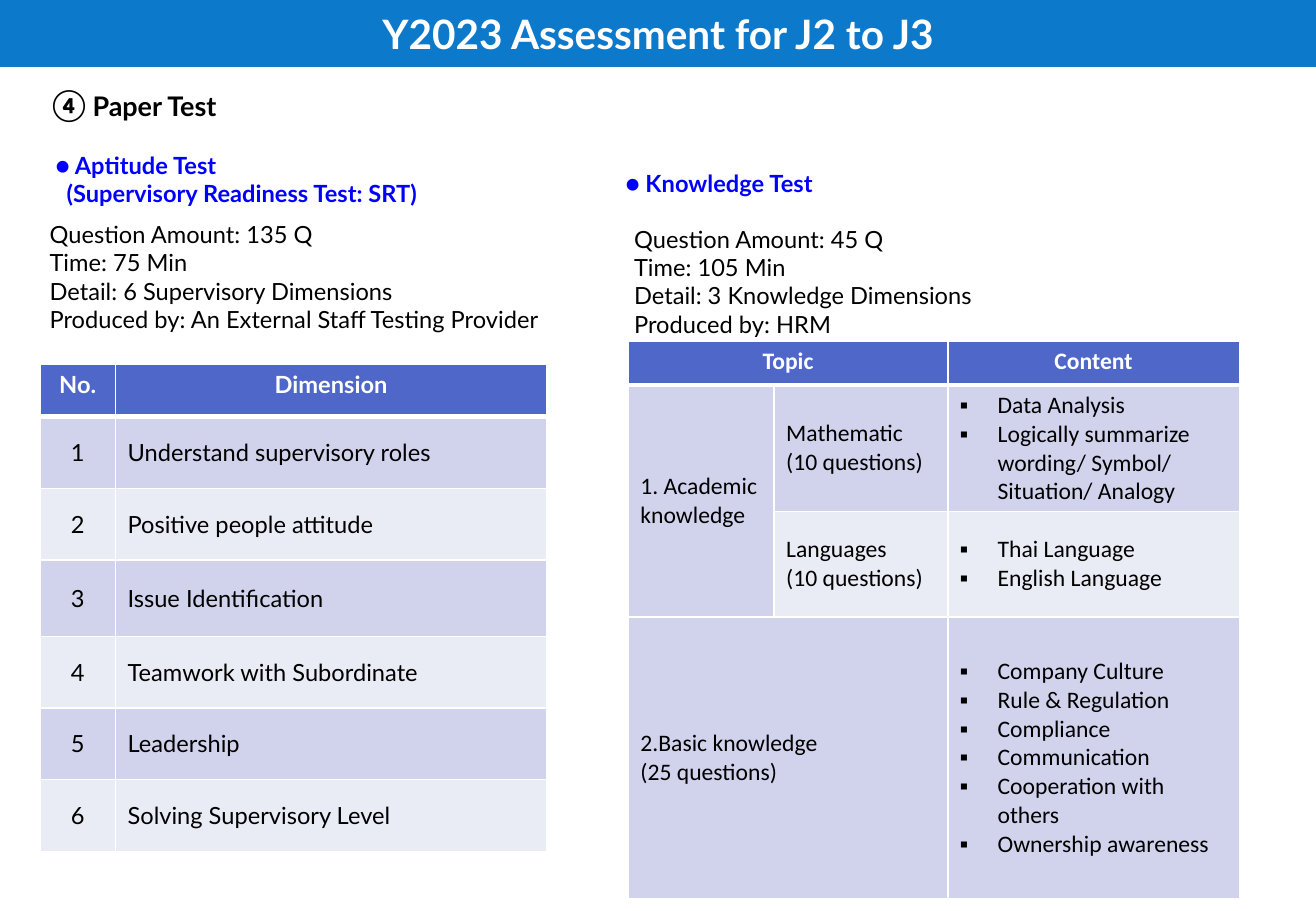
from lxml import etree
from pptx import Presentation
from pptx import util as u
from pptx.dml.color import RGBColor
from pptx.enum import text
from pptx.oxml import ns

PX = 9144  # EMU per px, 100 px to the inch
HUE = {"bar": "0D79CA", "head": "4E67C8", "dark": "D0D3EB", "pale": "E9EBF5",
       "blue": "0000FF", "black": "000000", "white": "FFFFFF"}
MID = text.MSO_ANCHOR.MIDDLE
LEFT, CENTER = text.PP_ALIGN.LEFT, text.PP_ALIGN.CENTER


def px(n):
    return u.Emu(n * PX)


def rgb(name):
    return RGBColor.from_string(HUE[name])


def style(para, size=14, hue="black", bold=False, face="Lato", align=LEFT):
    para.alignment = align
    font = para.font
    font.size, font.bold, font.name = u.Pt(size), bold, face
    font.color.rgb = rgb(hue)


def indent(para, left, first=0):
    prop = para._p.get_or_add_pPr()
    prop.set("marL", str(px(left)))
    prop.set("indent", str(px(first)))
    return prop


def write(frame, lines, bullet=False, **look):
    """Fill a text frame with one paragraph per line."""
    for i, line in enumerate(lines):
        para = frame.paragraphs[0] if i == 0 else frame.add_paragraph()
        para.text = line
        if bullet:
            prop = indent(para, 31, -31)
            etree.SubElement(prop, ns.qn("a:buFont")).set("typeface", "Calibri")
            etree.SubElement(prop, ns.qn("a:buChar")).set("char", "▪")
        style(para, **look)


def note(slide, box, lines, **look):
    frame = slide.shapes.add_textbox(*map(px, box)).text_frame
    frame.word_wrap = True
    write(frame, lines, **look)
    return frame.paragraphs


def edge(cell, row):
    """White cell borders, thicker below the header row."""
    prop = cell._tc.get_or_add_tcPr()
    for i, side in enumerate("LRTB"):
        thick = (row, side) in ((0, "B"), (1, "T"))
        line = etree.Element(ns.qn("a:ln" + side), w=str(u.Pt(3 if thick else 1)))
        fill = etree.SubElement(line, ns.qn("a:solidFill"))
        etree.SubElement(fill, ns.qn("a:srgbClr"), val=HUE["white"])
        prop.insert(i, line)


def grid(slide, box, cols, rows, cells, fills, face, merges=(), mid=(), dots=()):
    """Table; mid and dots are the columns with centred and bulleted text."""
    table = slide.shapes.add_table(len(rows), len(cols), *map(px, box)).table
    for col, wide in zip(table.columns, cols):
        col.width = px(wide)
    for row, high in zip(table.rows, rows):
        row.height = px(high)
    for r, line in enumerate(cells):
        for c, lines in enumerate(line):
            cell = table.cell(r, c)
            cell.fill.solid()
            cell.fill.fore_color.rgb = rgb(fills[r])
            edge(cell, r)
            if r:
                cell.vertical_anchor = MID
            if lines:
                write(cell.text_frame, lines.split("\n"), bullet=r > 0 and c in dots,
                      hue="black" if r else "white", bold=r == 0, face=face,
                      align=CENTER if r == 0 or c in mid else LEFT)
    for start, end in merges:
        table.cell(*start).merge(table.cell(*end))


def banner(slide, box):
    title = slide.shapes.title
    title.left, title.top, title.width, title.height = map(px, box)
    title.fill.solid()
    title.fill.fore_color.rgb = rgb("bar")
    frame = title.text_frame
    frame.auto_size = text.MSO_AUTO_SIZE.NONE
    frame.vertical_anchor = MID
    write(frame, ["Y2023 Assessment for J2 to J3"], size=24, hue="white",
          bold=True, align=CENTER)


def topic(slide, box):
    para = note(slide, box, ["④"], size=16, bold=True)[0]
    para.runs[0].font.size = u.Pt(18)
    para.add_run().text = " Paper Test"
    indent(para, 16)


def aptitude(slide, x, y):
    head = note(slide, (x, y, 500, 57),
                ["● Aptitude Test", "(Supervisory Readiness Test: SRT)"],
                hue="blue", bold=True)
    for para, left in zip(head, (5, 14)):
        indent(para, left)
    note(slide, (x, y + 57, 448, 104),
         ["Question Amount: 135 Q", "Time: 75 Min", "Detail: 6 Supervisory Dimensions",
          "Produced by: An External Staff Testing Provider"])
    names = ["Understand supervisory roles", "Positive people attitude",
             "Issue Identification", "Teamwork with Subordinate",
             "Leadership", "Solving Supervisory Level"]
    cells = [("No.", "Dimension")] + [(str(i), n) for i, n in enumerate(names, 1)]
    grid(slide, (x + 2, y + 181, 417, 401), (62, 355), (43, 59, 59, 63, 59, 59, 59),
         cells, ["head"] + ["dark", "pale"] * 3, "Lato", mid=(0,))


def knowledge(slide, x, y):
    note(slide, (x, y, 263, 34), ["● Knowledge Test"], hue="blue", bold=True)
    note(slide, (x + 7, y + 46, 300, 104),
         ["Question Amount: 45 Q", "Time: 105 Min", "Detail: 3 Knowledge Dimensions",
          "Produced by: HRM"])
    cells = [
        ("Topic", None, "Content"),
        ("1. Academic knowledge", "Mathematic\n(10 questions)",
         "Data Analysis\nLogically summarize wording/ Symbol/ Situation/ Analogy"),
        (None, "Languages\n(10 questions)", "Thai Language\nEnglish Language"),
        ("2.Basic knowledge\n(25 questions)", None,
         "Company Culture\nRule & Regulation\nCompliance\nCommunication\n"
         "Cooperation with others\nOwnership awareness"),
    ]
    grid(slide, (x + 12, y + 147, 503, 459), (120, 143, 240), (36, 104, 87, 232),
         cells, ["head", "dark", "pale", "dark"], "Calibri", dots=(2,),
         merges=[((0, 0), (0, 1)), ((1, 0), (2, 0)), ((3, 0), (3, 1))])


def main():
    deck = Presentation()
    deck.slide_width, deck.slide_height = px(1083), px(750)
    slide = deck.slides.add_slide(deck.slide_layouts[5])
    # Heading
    banner(slide, (0, 0, 1083, 55))
    topic(slide, (17, 66, 558, 43))
    # Left and right halves
    aptitude(slide, 31, 119)
    knowledge(slide, 505, 134)
    deck.save("out.pptx")


if __name__ == "__main__":
    main()
